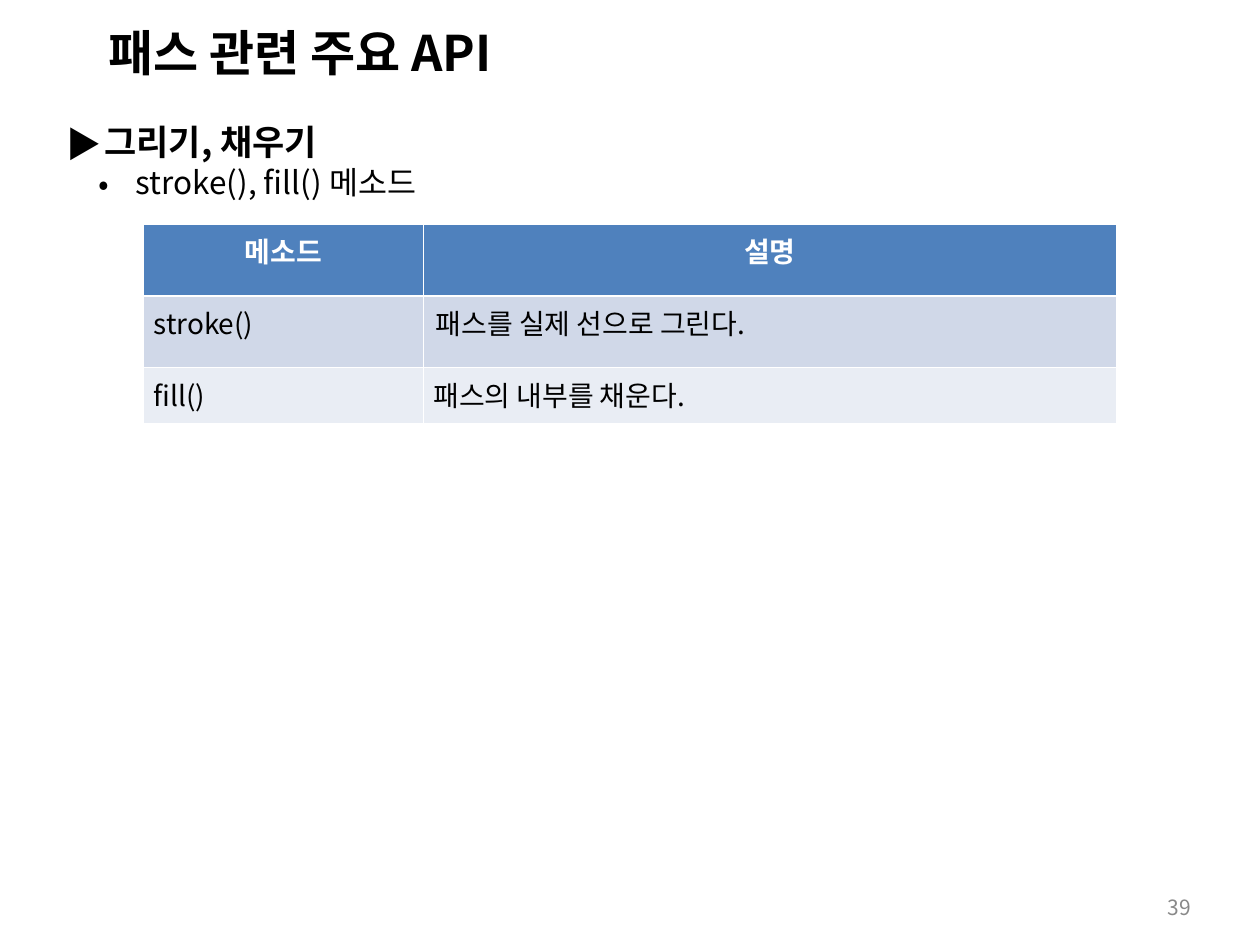
from lxml.etree import SubElement
from pptx import Presentation
from pptx.dml.color import RGBColor
from pptx.enum.text import MSO_ANCHOR, MSO_AUTO_SIZE, PP_ALIGN
from pptx.oxml import parse_xml
from pptx.oxml.ns import nsdecls, qn
from pptx.util import Inches, Pt

FONT = "Noto Sans CJK KR"
BLACK = RGBColor(0x00, 0x00, 0x00)
WHITE = RGBColor(0xFF, 0xFF, 0xFF)
GRAY = RGBColor(0x89, 0x89, 0x89)
HEADER_BLUE = RGBColor(0x4F, 0x81, 0xBD)
BAND_DARK = RGBColor(0xD0, 0xD8, 0xE8)
BAND_LIGHT = RGBColor(0xE9, 0xED, 0xF4)
THIN, THICK = Pt(0.45), Pt(1.47)

TITLE = "패스 관련 주요 API"
# text, bullet, left margin, hanging indent, font format
OUTLINE = [
    ("그리기, 채우기", "▶", 0.3, 0.3, {"size": Pt(20), "bold": True}),
    ("stroke(), fill() 메소드", "•", 0.55, 0.3, {"size": Pt(18), "bold": False}),
]
PAGE_NUMBER = "39"

COLUMN_WIDTHS = [2.22, 5.5]
# height, fill, cell texts, side insets
METHOD_ROWS = [
    (0.57, HEADER_BLUE, ("메소드", "설명"), (0.1, 0.1)),
    (0.57, BAND_DARK, ("stroke()", "패스를 실제 선으로 그린다."), (0.08, 0.1)),
    (0.44, BAND_LIGHT, ("fill()", "패스의 내부를 채운다."), (0.08, 0.08)),
]


def write(paragraph, text, color=BLACK, **font_format):
    """Add one run, with the font set for Latin and Korean letters."""
    run = paragraph.add_run()
    run.text = text
    for name, value in {"name": FONT, **font_format}.items():
        setattr(run.font, name, value)
    run.font.color.rgb = color
    run.font._element.find(qn("a:latin")).addnext(
        parse_xml(f'<a:ea {nsdecls("a")} typeface="{FONT}"/>'))


def add_text_frame(slide, left, top, width, height, **frame_format):
    frame = slide.shapes.add_textbox(*map(Inches, (left, top, width, height))).text_frame
    for name, value in {"word_wrap": True, **frame_format}.items():
        setattr(frame, name, value)
    return frame


def set_bullet(paragraph, character, margin, hanging):
    properties = paragraph._p.get_or_add_pPr()
    properties.set("marL", str(Inches(margin)))
    properties.set("indent", str(-Inches(hanging)))
    color = SubElement(properties, qn("a:buClr"))
    SubElement(color, qn("a:srgbClr"), val=str(BLACK))
    SubElement(properties, qn("a:buFont"), typeface=FONT)
    SubElement(properties, qn("a:buChar"), char=character)


def set_borders(cell, **widths):
    """Draw white borders; the widths are keyed L, R, T and B."""
    properties = cell._tc.get_or_add_tcPr()
    for position, (side, width) in enumerate(widths.items()):
        properties.insert(position, parse_xml(
            f'<a:ln{side} {nsdecls("a")} w="{width}"><a:solidFill>'
            f'<a:srgbClr val="{WHITE}"/></a:solidFill></a:ln{side}>'))


def add_method_table(slide):
    heights = [row[0] for row in METHOD_ROWS]
    table = slide.shapes.add_table(
        len(heights), len(COLUMN_WIDTHS), Inches(1.14), Inches(1.78),
        Inches(sum(COLUMN_WIDTHS)), Inches(sum(heights))).table
    for column, width in zip(table.columns, COLUMN_WIDTHS):
        column.width = Inches(width)
    for index, (height, fill, texts, insets) in enumerate(METHOD_ROWS):
        table.rows[index].height = Inches(height)
        header = index == 0
        alignments = [PP_ALIGN.CENTER] * 2 if header else [PP_ALIGN.JUSTIFY, PP_ALIGN.LEFT]
        for cell, text, inset, alignment in zip(
                table.rows[index].cells, texts, insets, alignments):
            cell.margin_left = cell.margin_right = Inches(inset)
            cell.fill.solid()
            cell.fill.fore_color.rgb = fill
            set_borders(cell, L=THIN, R=THIN,
                        T=THICK if index == 1 else THIN,
                        B=THICK if header else THIN)
            paragraph = cell.text_frame.paragraphs[0]
            paragraph.alignment = alignment
            write(paragraph, text, WHITE if header else BLACK, size=Pt(16), bold=header)


def main():
    presentation = Presentation()
    presentation.slide_width, presentation.slide_height = Inches(10), Inches(7.5)
    slide = presentation.slides.add_slide(presentation.slide_layouts[6])

    title = add_text_frame(slide, 0.76, 0.13, 3.42, 0.57,
                           word_wrap=False, auto_size=MSO_AUTO_SIZE.SHAPE_TO_FIT_TEXT)
    write(title.paragraphs[0], TITLE, size=Pt(28), bold=True)

    outline = add_text_frame(slide, 0.43, 0.91, 9.14, 0.74,
                             auto_size=MSO_AUTO_SIZE.SHAPE_TO_FIT_TEXT)
    for level, (text, bullet, margin, hanging, font_format) in enumerate(OUTLINE):
        paragraph = outline.add_paragraph() if level else outline.paragraphs[0]
        paragraph.level = level
        set_bullet(paragraph, bullet, margin, hanging)
        write(paragraph, text, **font_format)

    add_method_table(slide)

    footer = add_text_frame(slide, 7.22, 7, 2.33, 0.4, vertical_anchor=MSO_ANCHOR.MIDDLE)
    footer.paragraphs[0].alignment = PP_ALIGN.RIGHT
    write(footer.paragraphs[0], PAGE_NUMBER, GRAY, size=Pt(12))

    presentation.save("out.pptx")


if __name__ == "__main__":
    main()
